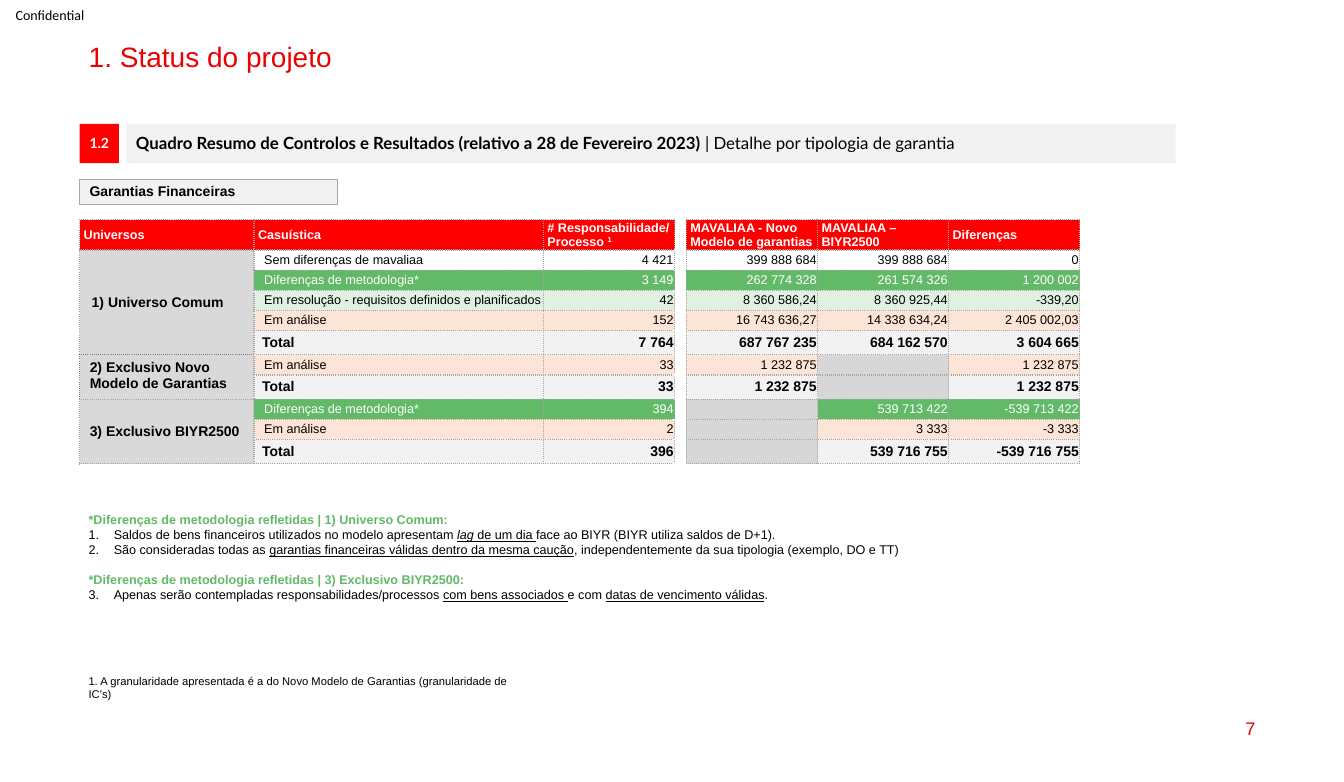
"""Build the project status slide with its table of financial guarantees."""
import lxml.etree
import pptx
import pptx.dml.color
import pptx.enum.shapes
import pptx.enum.text
import pptx.oxml.ns
import pptx.util

Inches = pptx.util.Inches
RGBColor = pptx.dml.color.RGBColor
ALIGN = pptx.enum.text.PP_ALIGN
ANCHOR = pptx.enum.text.MSO_ANCHOR
qn = pptx.oxml.ns.qn
SubElement = lxml.etree.SubElement

BLACK = RGBColor(0, 0, 0)
WHITE = RGBColor(255, 255, 255)
RED = RGBColor(255, 0, 0)
DEEP = RGBColor(0xEB, 0, 0)
PALE = RGBColor(0xF2, 0xF2, 0xF2)
BLANK = RGBColor(0xD7, 0xD7, 0xD7)
SIDE = RGBColor(0xD9, 0xD9, 0xD9)
LINE = RGBColor(0xA6, 0xA6, 0xA6)
DARK = RGBColor(0x80, 0x80, 0x80)
GREEN = RGBColor(0x62, 0xB9, 0x67)
MINT = RGBColor(0xE0, 0xF1, 0xE1)
PEACH = RGBColor(0xFC, 0xE4, 0xD6)


def write(par, runs, size, color=BLACK, face="Arial"):
    for text, style in runs:
        run = par.add_run()
        run.text = text
        font = run.font
        font.name, font.size = face, pptx.util.Pt(size)
        font.color.rgb = color
        font.bold = "b" in style
        font.italic = "i" in style
        font.underline = "u" in style
        if "^" in style:
            run._r.get_or_add_rPr().set("baseline", "30000")


def place(left, top, width, height, anchor=ANCHOR.TOP, fill=None, line=None):
    box = (Inches(left), Inches(top), Inches(width), Inches(height))
    if fill is None:
        shape = slide.shapes.add_textbox(*box)
    else:
        shape = slide.shapes.add_shape(pptx.enum.shapes.MSO_SHAPE.RECTANGLE, *box)
        shape.shadow.inherit = False
        shape.fill.solid()
        shape.fill.fore_color.rgb = fill
        if line is None:
            shape.line.fill.background()
        else:
            shape.line.color.rgb = line
            shape.line.width = pptx.util.Pt(0.75)
    frame = shape.text_frame
    frame.word_wrap = True
    frame.vertical_anchor = anchor
    frame.paragraphs[0].alignment = ALIGN.LEFT
    return frame


deck = pptx.Presentation()
deck.slide_width, deck.slide_height = Inches(13.33), Inches(7.76)
slide = deck.slides.add_slide(deck.slide_layouts[5])

title = slide.shapes.title
title.left, title.top = Inches(0.78), Inches(0.38)
title.width, title.height = Inches(11.77), Inches(0.34)
title.text_frame.vertical_anchor = ANCHOR.TOP
title.text_frame.auto_size = pptx.enum.text.MSO_AUTO_SIZE.NONE
par = title.text_frame.paragraphs[0]
par.alignment, par.line_spacing = ALIGN.LEFT, 0.9
write(par, [("1. Status do projeto", "")], 20, DEEP)

frame = place(0, 0, 0.99, 0.29, ANCHOR.MIDDLE)
frame.margin_left = frame.margin_right = frame.margin_top = frame.margin_bottom = 0
frame.paragraphs[0].alignment = ALIGN.CENTER
write(frame.paragraphs[0], [("Confidential", "")], 10, face="Calibri")

frame = place(9.55, 7.02, 3, 0.41, ANCHOR.MIDDLE)
frame.paragraphs[0].alignment = ALIGN.RIGHT
write(frame.paragraphs[0], [("7", "")], 13, DEEP)

BARS = [
    (0.79, 1.23, 0.39, 0.39, RED, None, ALIGN.CENTER, 10, WHITE, "Lato", [("1.2", "b")]),
    (1.25, 1.23, 10.41, 0.39, PALE, None, ALIGN.LEFT, 12, BLACK, "Lato",
     [("Quadro Resumo de Controlos e Resultados (relativo a 28 de Fevereiro 2023) ", "b"),
      ("| Detalhe por tipologia de garantia", "")]),
    (0.79, 1.78, 2.56, 0.25, PALE, LINE, ALIGN.LEFT, 10, BLACK, "Arial",
     [("Garantias Financeiras", "b")]),
]
for left, top, width, height, fill, line, align, size, color, face, runs in BARS:
    frame = place(left, top, width, height, ANCHOR.MIDDLE, fill, line)
    par = frame.paragraphs[0]
    par.alignment, par.line_spacing = align, 0.9
    write(par, runs, size, color, face)

HEADS = ["Universos", "Casuística", "# Responsabilidade/", None,
         "MAVALIAA - Novo Modelo de garantias", "MAVALIAA – BIYR2500", "Diferenças"]
SAME = "Sem diferenças de mavaliaa"
METHOD = "Diferenças de metodologia*"
SOLVE = "Em resolução - requisitos definidos e planificados"
STUDY = "Em análise"
TOTAL = "Total"
FILLS = {SAME: None, METHOD: GREEN, SOLVE: MINT, STUDY: PEACH, TOTAL: PALE}
ROWS = [
    (SAME, "4 421", "399 888 684", "399 888 684", "0"),
    (METHOD, "3 149", "262 774 328", "261 574 326", "1 200 002"),
    (SOLVE, "42", "8 360 586,24", "8 360 925,44", "-339,20"),
    (STUDY, "152", "16 743 636,27", "14 338 634,24", "2 405 002,03"),
    (TOTAL, "7 764", "687 767 235", "684 162 570", "3 604 665"),
    (STUDY, "33", "1 232 875", None, "1 232 875"),
    (TOTAL, "33", "1 232 875", None, "1 232 875"),
    (METHOD, "394", None, "539 713 422", "-539 713 422"),
    (STUDY, "2", None, "3 333", "-3 333"),
    (TOTAL, "396", None, "539 716 755", "-539 716 755"),
]
GROUPS = {1: ("1) Universo Comum", 5, 0.12), 6: ("2) Exclusivo Novo Modelo de Garantias", 2, 0.1),
          8: ("3) Exclusivo BIYR2500", 3, 0.1)}
WIDTHS = [1.73, 2.87, 1.3, 0.11, 1.3, 1.3, 1.3]
GAP = 3

table = slide.shapes.add_table(len(ROWS) + 1, len(WIDTHS), Inches(0.79), Inches(2.18),
                               Inches(9.91), Inches(2.39)).table
table.first_row = table.horz_banding = False
for col, width in enumerate(WIDTHS):
    table.columns[col].width = Inches(width)
for row in range(len(ROWS) + 1):
    label = ROWS[row - 1][0] if row else None
    table.rows[row].height = Inches(0.24 if label == TOTAL else 0.2 if row else 0.26)
    if row:
        name, span, inset = GROUPS.get(row, (None, 1, 0))
        texts = [name, label, ROWS[row - 1][1], None, *ROWS[row - 1][2:]]
        if name:
            table.cell(row, 0).merge(table.cell(row + span - 1, 0))
    else:
        texts = HEADS
    for col, text in enumerate(texts):
        cell = table.cell(row, col)
        cell.vertical_anchor = ANCHOR.MIDDLE
        cell.margin_left = cell.margin_right = Inches(0.04 if row == 0 else 0.01)
        cell.margin_top = cell.margin_bottom = 0
        tint = DARK if col == 0 and row in (6, 7) else LINE
        for side in ("lnL", "lnR") if col == GAP else ("lnL", "lnR", "lnT", "lnB"):
            edge = SubElement(cell._tc.get_or_add_tcPr(), qn("a:" + side), w="12700")
            SubElement(SubElement(edge, qn("a:solidFill")), qn("a:srgbClr"), val=str(tint))
            SubElement(edge, qn("a:prstDash"), val="sysDot")

        color, size, style = BLACK, 9, ""
        if col == GAP:
            fill = None
        elif row == 0:
            fill, color, style = RED, WHITE, "b"
        elif col == 0:
            fill, size, style = SIDE, 10, "b"
            cell.margin_left = Inches(inset)
            if row == 6:
                cell.vertical_anchor = ANCHOR.TOP
                cell.margin_top = Inches(0.05)
        else:
            fill = FILLS[label] if text else BLANK
            color = WHITE if label == METHOD else BLACK
            if label == TOTAL:
                size, style = 10, "b"
            if col == 1:
                cell.margin_left = Inches(0.08 if label == TOTAL else 0.1)
        if fill is None:
            cell.fill.background()
        else:
            cell.fill.solid()
            cell.fill.fore_color.rgb = fill

        par = cell.text_frame.paragraphs[0]
        if row and col > 1:
            par.alignment = ALIGN.RIGHT
        if text:
            write(par, [(text, style)], size, color)
        else:
            SubElement(par._p, qn("a:endParaRPr"), sz="600")
write(table.cell(0, 2).text_frame.add_paragraph(), [("Processo ", "b"), ("1", "b^")], 9, WHITE)

NOTES = [
    (0, [("*Diferenças de metodologia refletidas | 1) Universo Comum:", "b")]),
    (1, [("Saldos de bens financeiros utilizados no modelo apresentam ", ""), ("lag", "iu"),
         (" de um dia ", "u"), ("face ao BIYR (BIYR utiliza saldos de D+1).", "")]),
    (2, [("São consideradas todas as ", ""),
         ("garantias financeiras válidas dentro da mesma caução", "u"),
         (", independentemente da sua tipologia (exemplo, DO e TT)", "")]),
    (0, [("*Diferenças de metodologia refletidas | 3) Exclusivo BIYR2500:", "b")]),
    (3, [("Apenas serão contempladas responsabilidades/processos ", ""),
         ("com bens associados ", "u"), ("e com ", ""),
         ("datas de vencimento válidas", "u"), (".", "")]),
]
frame = place(0.78, 5.03, 10.55, 1.5)
for step, (count, runs) in enumerate(NOTES):
    par = frame.add_paragraph() if step else frame.paragraphs[0]
    if count:
        props = par._p.get_or_add_pPr()
        props.set("marL", str(Inches(0.25)))
        props.set("indent", str(-Inches(0.25)))
        SubElement(props, qn("a:buFont"), typeface="+mj-lt")
        SubElement(props, qn("a:buAutoNum"), type="arabicPeriod", startAt=str(count))
    elif step:
        par.space_before = pptx.util.Pt(10.5)
    write(par, runs, 9, BLACK if count else GREEN)

frame = place(0.78, 6.64, 4.37, 0.24)
write(frame.paragraphs[0], [("1. A granularidade apresentada é a do Novo Modelo de Garantias "
                             "(granularidade de IC’s)", "")], 8)

deck.save("out.pptx")
